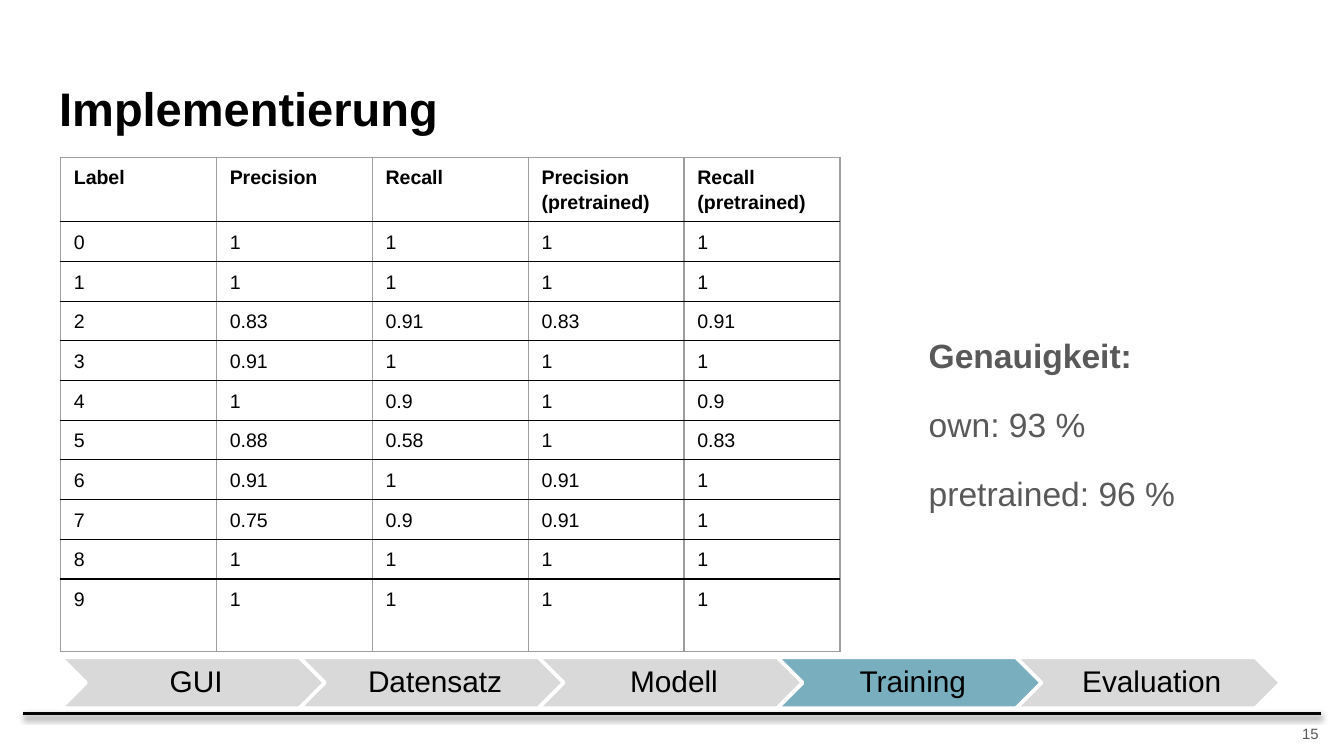
from lxml.etree import SubElement
from pptx import Presentation
from pptx.dml.color import RGBColor
from pptx.enum.shapes import MSO_CONNECTOR, MSO_SHAPE
from pptx.enum.text import MSO_ANCHOR, PP_ALIGN
from pptx.oxml import parse_xml
from pptx.oxml.ns import nsdecls, qn
from pptx.util import Inches, Pt

BLACK = RGBColor(0x00, 0x00, 0x00)
WHITE = RGBColor(0xFF, 0xFF, 0xFF)
DARK_GRAY = RGBColor(0x59, 0x59, 0x59)
BORDER_GRAY = RGBColor(0x9E, 0x9E, 0x9E)
STEP_GRAY = RGBColor(0xD9, 0xD9, 0xD9)
STEP_ACTIVE = RGBColor(0x79, 0xAE, 0xBF)

TITLE = "Implementierung"
METRICS = [
    ("Label", "Precision", "Recall", "Precision (pretrained)", "Recall (pretrained)"),
    ("0", "1", "1", "1", "1"),
    ("1", "1", "1", "1", "1"),
    ("2", "0.83", "0.91", "0.83", "0.91"),
    ("3", "0.91", "1", "1", "1"),
    ("4", "1", "0.9", "1", "0.9"),
    ("5", "0.88", "0.58", "1", "0.83"),
    ("6", "0.91", "1", "0.91", "1"),
    ("7", "0.75", "0.9", "0.91", "1"),
    ("8", "1", "1", "1", "1"),
    ("9", "1", "1", "1", "1"),
]
ACCURACY = ["Genauigkeit:", "own: 93 %", "pretrained: 96 %"]
STEPS = ["GUI", "Datensatz", "Modell", "Training", "Evaluation"]
ACTIVE_STEP = "Training"
PAGE = "15"

COL_WIDTH = 1.16
TABLE_HEIGHT, HEADER_HEIGHT, LAST_HEIGHT = 3.68, 0.48, 0.54
FIRST_STEP, LAST_STEP = 0.45, 7.56


def place(sp, left, top, width, height):
    box = {"left": left, "top": top, "width": width, "height": height}
    for name, value in box.items():
        setattr(sp, name, Inches(value))


def set_frame(tf, anchor, left=0.1, top=0.1, right=0.1, bottom=0.1):
    tf.word_wrap = True
    tf.vertical_anchor = anchor
    margins = {"left": left, "top": top, "right": right, "bottom": bottom}
    for side, value in margins.items():
        setattr(tf, f"margin_{side}", Inches(value))


def write(p, text, size, color, bold=False, **para):
    r = p.add_run()
    r.text = text
    r.font.color.rgb = color
    for name, value in {"name": "Arial", "size": Pt(size), "bold": bold}.items():
        setattr(r.font, name, value)
    for name, value in para.items():
        setattr(p, name, value)


def set_borders(cell, top, bottom):
    colors = {"L": BORDER_GRAY, "R": BORDER_GRAY, "T": top, "B": bottom}
    tcPr = cell._tc.get_or_add_tcPr()
    for i, (side, color) in enumerate(colors.items()):
        ln = parse_xml(
            f'<a:ln{side} {nsdecls("a")} w="{Pt(0.75)}"><a:solidFill>'
            f'<a:srgbClr val="{color}"/></a:solidFill></a:ln{side}>'
        )
        tcPr.insert(i, ln)


def add_title(s):
    sp = s.shapes.title
    place(sp, 0.34, 0.49, 9.32, 0.63)
    set_frame(sp.text_frame, MSO_ANCHOR.TOP)
    write(sp.text_frame.paragraphs[0], TITLE, 25.2, BLACK, True, alignment=PP_ALIGN.LEFT)


def add_metrics(s):
    middle = len(METRICS) - 2
    row_height = (TABLE_HEIGHT - HEADER_HEIGHT - LAST_HEIGHT) / middle
    heights = [HEADER_HEIGHT] + [row_height] * middle + [LAST_HEIGHT]
    cols = len(METRICS[0])
    table = s.shapes.add_table(
        len(METRICS), cols, Inches(0.45), Inches(1.17),
        Inches(cols * COL_WIDTH), Inches(TABLE_HEIGHT),
    ).table
    table.first_row = table.horz_banding = False
    for col in table.columns:
        col.width = Inches(COL_WIDTH)
    last = len(METRICS) - 1
    for i, values in enumerate(METRICS):
        table.rows[i].height = Inches(heights[i])
        for j, text in enumerate(values):
            cell = table.cell(i, j)
            cell.fill.background()
            cell.margin_top = cell.margin_bottom = Inches(0.05)
            set_borders(
                cell,
                BORDER_GRAY if i == 0 else BLACK,
                BORDER_GRAY if i == last else BLACK,
            )
            write(cell.text_frame.paragraphs[0], text, 10.5, BLACK, i == 0,
                  line_spacing=1.15, space_after=Pt(8))


def add_accuracy(s):
    sp = s.placeholders[1]
    place(sp, 6.81, 2.35, 2.85, 1.87)
    tf = sp.text_frame
    set_frame(tf, MSO_ANCHOR.TOP)
    for i, text in enumerate(ACCURACY):
        p = tf.add_paragraph() if i else tf.paragraphs[0]
        write(p, text, 18, DARK_GRAY, i == 0, line_spacing=1.15,
              space_before=Pt(12 if i else 0), space_after=Pt(0))
        pPr = p._p.get_or_add_pPr()
        pPr.set("marL", "0")
        pPr.set("indent", "0")
        SubElement(pPr, qn("a:buNone"))


def add_footer(s):
    y = Inches(5.31)
    rule = s.shapes.add_connector(MSO_CONNECTOR.STRAIGHT, Inches(0.17), y, Inches(9.83), y)
    rule.line.color.rgb = BLACK
    rule.line.width = Pt(2)
    rule._element.spPr.append(parse_xml(
        f'<a:effectLst {nsdecls("a")}><a:outerShdw blurRad="{Pt(3.1)}" dist="{Pt(1.6)}" '
        'dir="5400000" rotWithShape="0"><a:srgbClr val="000000"><a:alpha val="38000"/>'
        '</a:srgbClr></a:outerShdw></a:effectLst>'
    ))
    sp = s.shapes.add_textbox(Inches(9.57), y, Inches(0.34), Inches(0.29))
    set_frame(sp.text_frame, MSO_ANCHOR.MIDDLE)
    write(sp.text_frame.paragraphs[0], PAGE, 8, DARK_GRAY, alignment=PP_ALIGN.RIGHT)


def add_steps(s):
    group = s.shapes.add_group_shape()
    pitch = (LAST_STEP - FIRST_STEP) / (len(STEPS) - 1)
    for i, text in enumerate(STEPS):
        sp = group.shapes.add_shape(
            MSO_SHAPE.CHEVRON, Inches(FIRST_STEP + i * pitch), Inches(4.89),
            Inches(1.97), Inches(0.38),
        )
        sp.shadow.inherit = False
        sp.fill.solid()
        sp.fill.fore_color.rgb = STEP_ACTIVE if text == ACTIVE_STEP else STEP_GRAY
        sp.line.color.rgb = WHITE
        sp.line.width = Pt(2)
        set_frame(sp.text_frame, MSO_ANCHOR.MIDDLE, 0.07, 0.02, 0.02, 0.02)
        write(sp.text_frame.paragraphs[0], text, 16, BLACK,
              alignment=PP_ALIGN.CENTER, line_spacing=0.9)


def main():
    prs = Presentation()
    prs.slide_width = Inches(10)
    prs.slide_height = prs.slide_width * 9 // 16
    s = prs.slides.add_slide(prs.slide_layouts[1])
    for add_part in (add_title, add_metrics, add_accuracy, add_footer, add_steps):
        add_part(s)
    prs.save("out.pptx")


if __name__ == "__main__":
    main()
